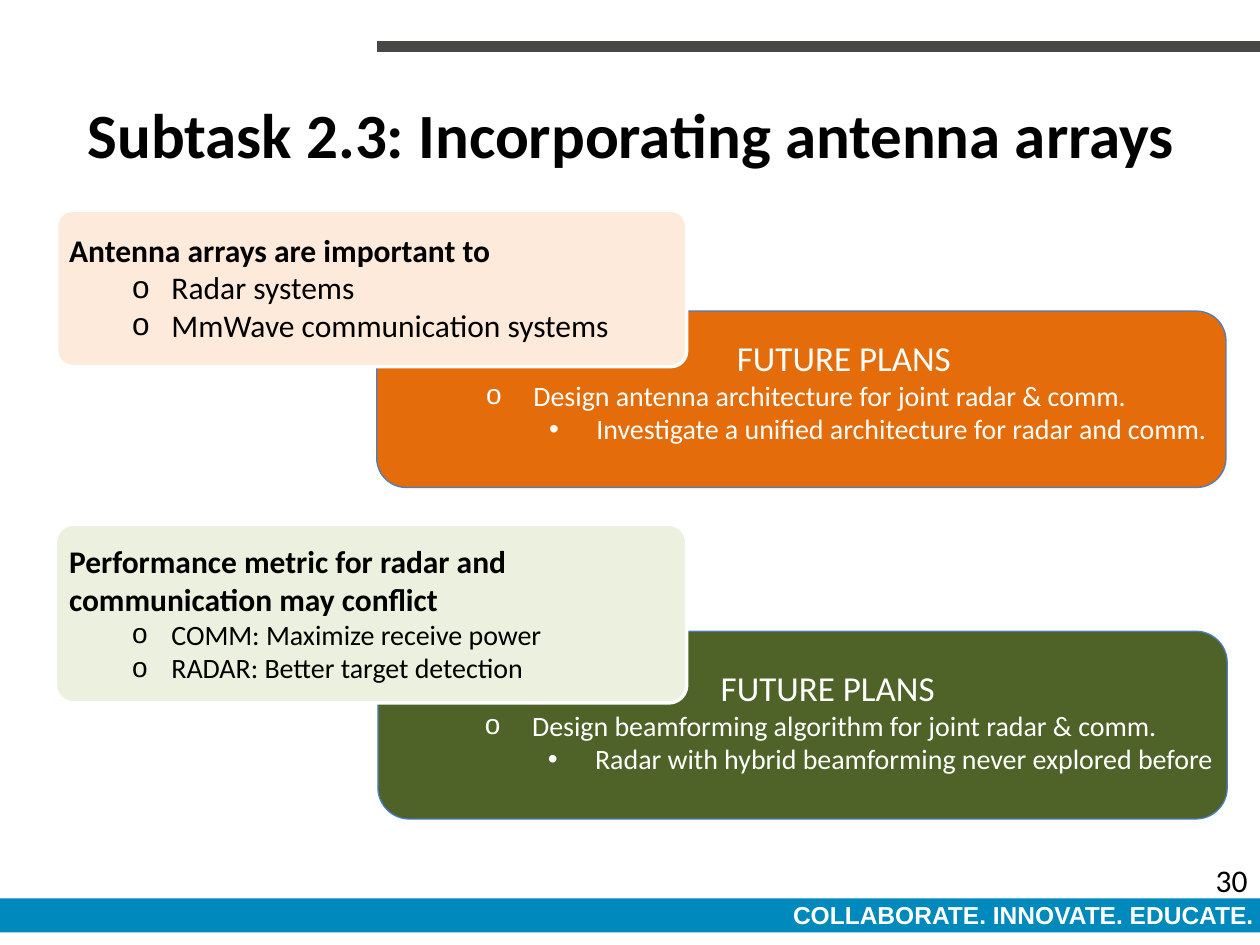
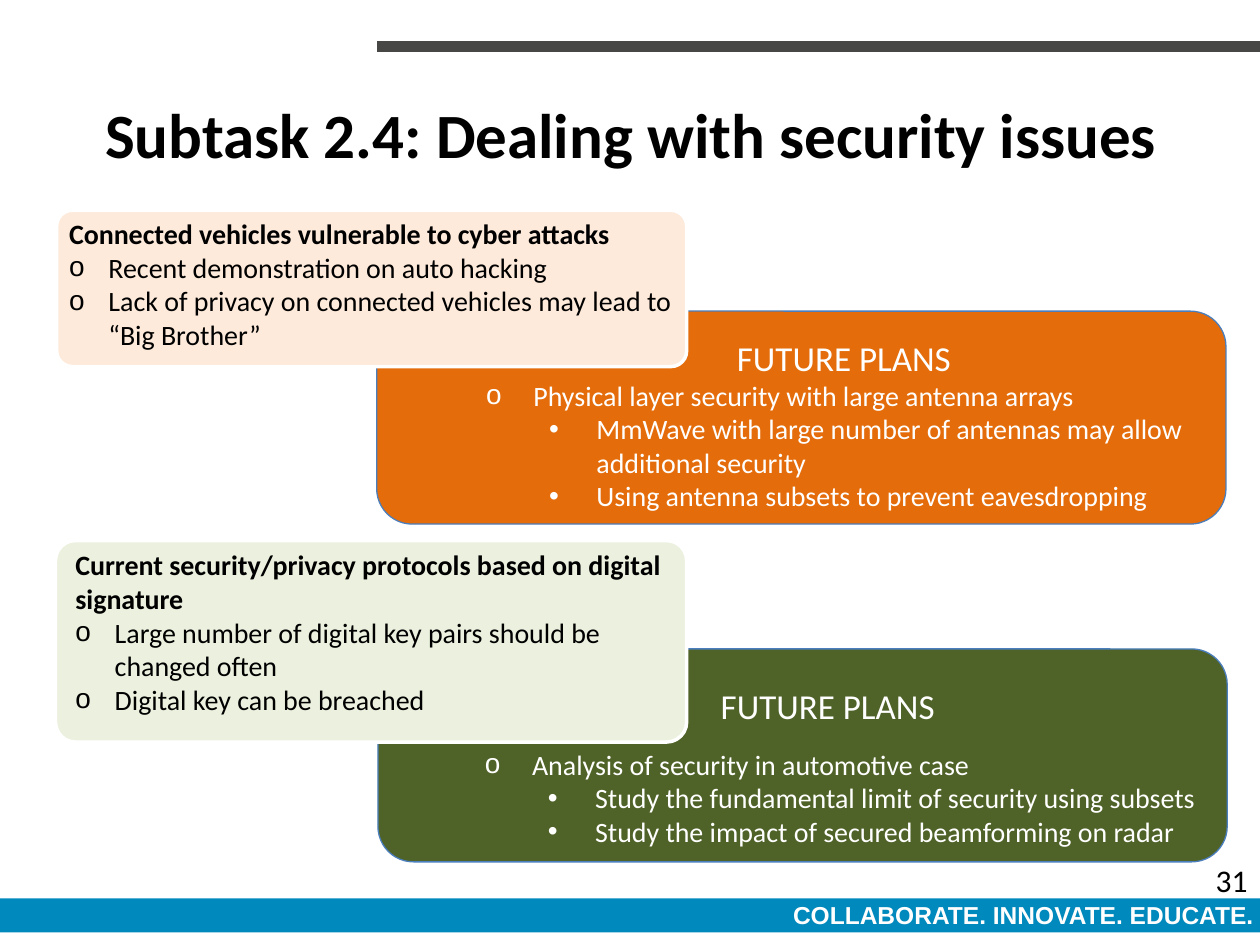
from lxml.etree import SubElement
from pptx import Presentation
from pptx.dml.color import RGBColor
from pptx.enum.shapes import MSO_CONNECTOR as CONNECTOR, MSO_SHAPE as SHAPE
from pptx.enum.text import MSO_ANCHOR as ANCHOR, PP_ALIGN as ALIGN
from pptx.oxml.ns import qn
from pptx.util import Pt

COLORS = {
    "rule": "474746", "band": "0089BC", "white": "FFFFFF", "black": "000000",
    "orange": "E46C0A", "cream": "FDEADA", "green": "4F6228", "mint": "EBF1DE",
    "outline": "4B7EBC",
}
PLAN_LEVELS = {"o": 27, "•": 63}
PLAN_HANGING = 27
NOTE_HANGING = 22.5


def color(name):
    """Return the named colour."""
    return RGBColor.from_string(COLORS[name])


def points(lengths):
    """Convert numbers to point lengths."""
    return [Pt(length) for length in lengths]


def add_panel(slide, bounds, fill, outline=None, width=0.75, preset=SHAPE.RECTANGLE, radius=None):
    """Add a filled panel with an optional outline and corner radius."""
    panel = slide.shapes.add_shape(preset, *points(bounds))
    panel.shadow.inherit = False
    panel.fill.solid()
    panel.fill.fore_color.rgb = color(fill)
    if radius is not None:
        panel.adjustments[0] = radius
    if outline:
        panel.line.color.rgb = color(outline)
        panel.line.width = Pt(width)
    else:
        panel.line.fill.background()


def set_indent(paragraph, left, hanging, bullet):
    """Indent a paragraph and give it a bullet if one is named."""
    properties = paragraph._p.get_or_add_pPr()
    properties.set("marL", str(Pt(left)))
    properties.set("indent", str(-Pt(hanging)))
    if bullet:
        SubElement(properties, qn("a:buFont"), typeface="Arial")
        SubElement(properties, qn("a:buChar"), char=bullet)


def add_text(slide, bounds, lines, anchor=ANCHOR.TOP, **shared):
    """Add lines of text, each a string with its own format over the shared one."""
    box = slide.shapes.add_textbox(*points(bounds))
    frame = box.text_frame
    frame.word_wrap = True
    frame.vertical_anchor = anchor
    for index, (text, own) in enumerate(lines):
        style = {"size": 18, "font": "Calibri", "ink": "black", "bold": False,
                 "align": ALIGN.LEFT, "left": 0, "hanging": 0, "bullet": None,
                 "before": 0, **shared, **own}
        paragraph = frame.add_paragraph() if index else frame.paragraphs[0]
        paragraph.alignment = style["align"]
        if style["before"]:
            paragraph.space_before = Pt(style["before"])
        set_indent(paragraph, style["left"], style["hanging"], style["bullet"])
        run = paragraph.add_run()
        run.text = text
        run.font.name = style["font"]
        run.font.size = Pt(style["size"])
        run.font.bold = style["bold"]
        run.font.color.rgb = color(style["ink"])


def add_top_rule(slide):
    """Add the dark rule at the top right."""
    rule = slide.shapes.add_connector(CONNECTOR.STRAIGHT, *points((215.3, 26.6, 720, 26.6)))
    rule.line.color.rgb = color("rule")
    rule.line.width = Pt(6)
    SubElement(rule._element.spPr, qn("a:effectLst"))


def add_subtask_slide(deck, title, number):
    """Start a slide with its rule, footer band, title and number."""
    slide = deck.slides.add_slide(deck.slide_layouts[6])
    add_top_rule(slide)
    add_panel(slide, (0, 513.4, 720.7, 19.4), "band")
    add_text(slide, (404.6, 510.5, 319, 24.5), [("COLLABORATE. INNOVATE. EDUCATE.", {})],
             size=14, font="Arial", ink="white", bold=True, align=ALIGN.RIGHT)
    add_text(slide, (13.7, 31, 694, 90), [(title, {})], anchor=ANCHOR.MIDDLE,
             size=36, bold=True, align=ALIGN.CENTER)
    add_text(slide, (552.2, 488.2, 167.8, 28.8), [(str(number), {})], align=ALIGN.RIGHT)
    return slide


def add_plans(slide, bounds, fill, offset, heading_left, plans, gap=0):
    """Add a future plans panel with bulleted plans at two levels."""
    left, top, width, height = bounds
    add_panel(slide, bounds, fill, "outline", preset=SHAPE.ROUNDED_RECTANGLE)
    lines = [("FUTURE PLANS", {"size": 20, "left": heading_left})]
    for index, (bullet, plan) in enumerate(plans):
        lines.append((plan, {"bullet": bullet, "left": PLAN_LEVELS[bullet],
                             "hanging": PLAN_HANGING, "before": 0 if index else gap}))
    dx, dy = offset
    add_text(slide, (left + dx, top + dy, width - dx + 18, height - dy), lines,
             size=16, ink="white")


def add_note(slide, bounds, fill, text_bounds, heading, points_made,
             heading_size=16, size=16, left=NOTE_HANGING):
    """Add a light note with a bold heading and bulleted points."""
    add_panel(slide, bounds, fill, "white", 2, SHAPE.ROUNDED_RECTANGLE, 0.1)
    lines = [(heading, {"size": heading_size, "bold": True})]
    lines += [(point, {"bullet": "o", "left": left, "hanging": NOTE_HANGING})
              for point in points_made]
    add_text(slide, text_bounds, lines, size=size)


def add_antenna_slide(deck):
    """Build the slide on antenna arrays."""
    slide = add_subtask_slide(deck, "Subtask 2.3: Incorporating antenna arrays", 30)
    add_plans(slide, (215.3, 177.8, 485.3, 100.8), "orange", (55.4, 10.8), 143.3, [
        ("o", "Design antenna architecture for joint radar & comm."),
        ("•", "Investigate a unified architecture for radar and comm."),
    ])
    add_note(slide, (32.4, 120.2, 360, 89.3), "cream", (32.4, 128.2, 366.5, 94.3),
             "Antenna arrays are important to",
             ["Radar systems", "MmWave communication systems"],
             heading_size=18, size=18, left=58.5)
    add_plans(slide, (216, 360.7, 485.3, 107.3), "green", (54, 16.6), 134.8, [
        ("o", "Design beamforming algorithm for joint radar & comm."),
        ("•", "Radar with hybrid beamforming never explored before"),
    ])
    add_note(slide, (31.7, 299.5, 360.7, 102.2), "mint", (32.4, 306, 360, 111.6),
             "Performance metric for radar and communication may conflict",
             ["COMM: Maximize receive power", "RADAR: Better target detection"],
             heading_size=18, left=58.5)


def add_security_slide(deck):
    """Build the slide on security issues."""
    slide = add_subtask_slide(deck, "Subtask 2.4: Dealing with security issues", 31)
    add_plans(slide, (215.3, 177.8, 485.3, 121.7), "orange", (55.4, 10.8), 143.3, [
        ("o", "Physical layer security with large antenna arrays"),
        ("•", "MmWave with large number of antennas may allow additional security"),
        ("•", "Using antenna subsets to prevent eavesdropping"),
    ])
    add_note(slide, (32.4, 120.2, 360, 89.3), "cream", (32.4, 120.2, 380, 85),
             "Connected vehicles vulnerable to cyber attacks",
             ["Recent demonstration on auto hacking",
              "Lack of privacy on connected vehicles may lead to “Big Brother”"])
    add_plans(slide, (216, 370.8, 485.3, 121.7), "green", (54, 16.6), 134.8, [
        ("o", "Analysis of security in automotive case"),
        ("•", "Study the fundamental limit of security using subsets"),
        ("•", "Study the impact of secured beamforming on radar"),
    ], gap=12)
    add_note(slide, (31.7, 308.9, 360.7, 115.2), "mint", (36, 309.6, 360, 128.2),
             "Current security/privacy protocols based on digital signature",
             ["Large number of digital key pairs should be changed often",
              "Digital key can be breached"])


def main():
    """Build and save the deck."""
    deck = Presentation()
    deck.slide_width, deck.slide_height = points((720, 540))
    add_antenna_slide(deck)
    add_security_slide(deck)
    deck.save("out.pptx")


if __name__ == "__main__":
    main()
